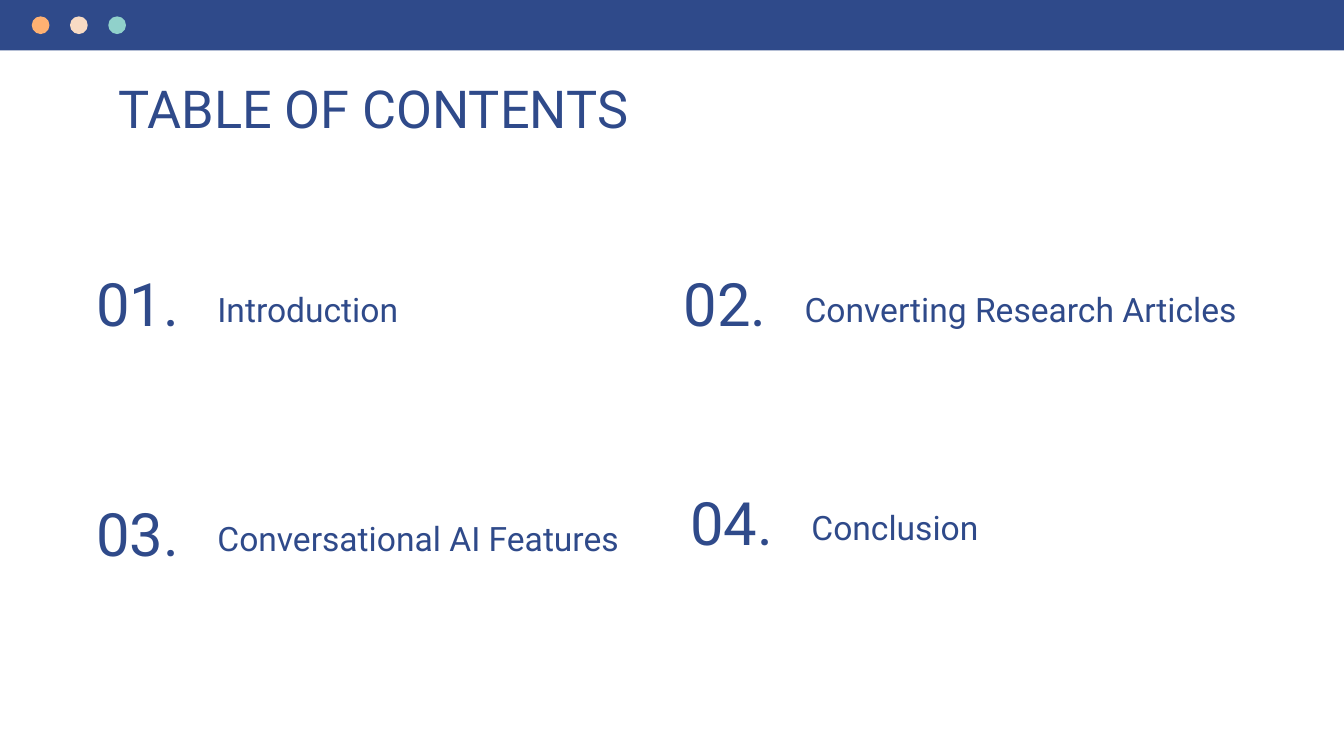
import pptx
import pptx.util
import pptx.dml.color
import pptx.enum.shapes
import pptx.enum.text
from dataclasses import dataclass

Pt = pptx.util.Pt
ALIGN = pptx.enum.text.PP_ALIGN
ANCHOR = pptx.enum.text.MSO_ANCHOR
SHAPE = pptx.enum.shapes.MSO_SHAPE


@dataclass(frozen=True)
class Theme:
    font: str = "Roboto"
    navy: str = "2F4A8A"
    paper: str = "FFFFFF"
    dots: tuple = ("FFB172", "F8DBC4", "90D1CB")
    title: int = 28
    number: int = 32
    label: int = 18


THEME = Theme()
TITLE = "TABLE OF CONTENTS"
SECTIONS = [
    ("01.", "Introduction", 38.2, 142.6, 210),
    ("02.", "Converting Research Articles", 352.8, 142.6, 258),
    ("03.", "Conversational AI Features", 38.2, 265.7, 239),
    ("04.", "Conclusion", 356.4, 259.7, 215),
]

SLIDE_W, SLIDE_H = 720, 405
BAR_H = 27
DOT, DOT_LEFT, DOT_STEP = 9.5, 17, 20.5
NUMBER_W, NUMBER_H = 71.2, 46
LABEL_H, LABEL_DROP = 36.8, 4.8
INSET = 7.2


def rgb(code):
    return pptx.dml.color.RGBColor.from_string(code)


def write(sp, text, size, align=ALIGN.LEFT, anchor=ANCHOR.TOP):
    tf = sp.text_frame
    tf.text = text
    tf.word_wrap = True
    tf.auto_size = pptx.enum.text.MSO_AUTO_SIZE.NONE
    tf.vertical_anchor = anchor
    tf.margin_left = tf.margin_right = tf.margin_top = tf.margin_bottom = Pt(INSET)
    p = tf.paragraphs[0]
    p.alignment = align
    r = p.runs[0]
    r.font.name = THEME.font
    r.font.size = Pt(size)
    r.font.color.rgb = rgb(THEME.navy)


def add_textbox(s, left, top, width, height):
    return s.shapes.add_textbox(Pt(left), Pt(top), Pt(width), Pt(height))


def add_filled(shapes, kind, left, top, width, height, color):
    sp = shapes.add_shape(kind, Pt(left), Pt(top), Pt(width), Pt(height))
    sp.shadow.inherit = False
    sp.fill.solid()
    sp.fill.fore_color.rgb = rgb(color)
    sp.line.fill.background()


def add_title(s):
    sp = s.shapes.title
    sp.left, sp.top, sp.width, sp.height = Pt(56.2), Pt(33.8), Pt(607.6), Pt(36.8)
    write(sp, TITLE, THEME.title)


def add_section(s, number, label, left, top, label_w):
    sp = add_textbox(s, left + NUMBER_W, top + LABEL_DROP, label_w, LABEL_H)
    write(sp, label, THEME.label)
    sp = add_textbox(s, left, top, NUMBER_W, NUMBER_H)
    write(sp, number, THEME.number, ALIGN.CENTER, ANCHOR.BOTTOM)


def add_window_bar(s):
    shapes = s.shapes.add_group_shape().shapes
    add_filled(shapes, SHAPE.RECTANGLE, 0, 0, SLIDE_W, BAR_H, THEME.navy)
    for i, color in enumerate(THEME.dots):
        left = DOT_LEFT + i * DOT_STEP
        add_filled(shapes, SHAPE.OVAL, left, (BAR_H - DOT) / 2, DOT, DOT, color)


def main():
    prs = pptx.Presentation()
    prs.slide_width, prs.slide_height = Pt(SLIDE_W), Pt(SLIDE_H)
    s = prs.slides.add_slide(prs.slide_layouts[5])
    s.background.fill.solid()
    s.background.fill.fore_color.rgb = rgb(THEME.paper)
    add_title(s)
    for section in SECTIONS:
        add_section(s, *section)
    add_window_bar(s)
    prs.save("out.pptx")


if __name__ == "__main__":
    main()
